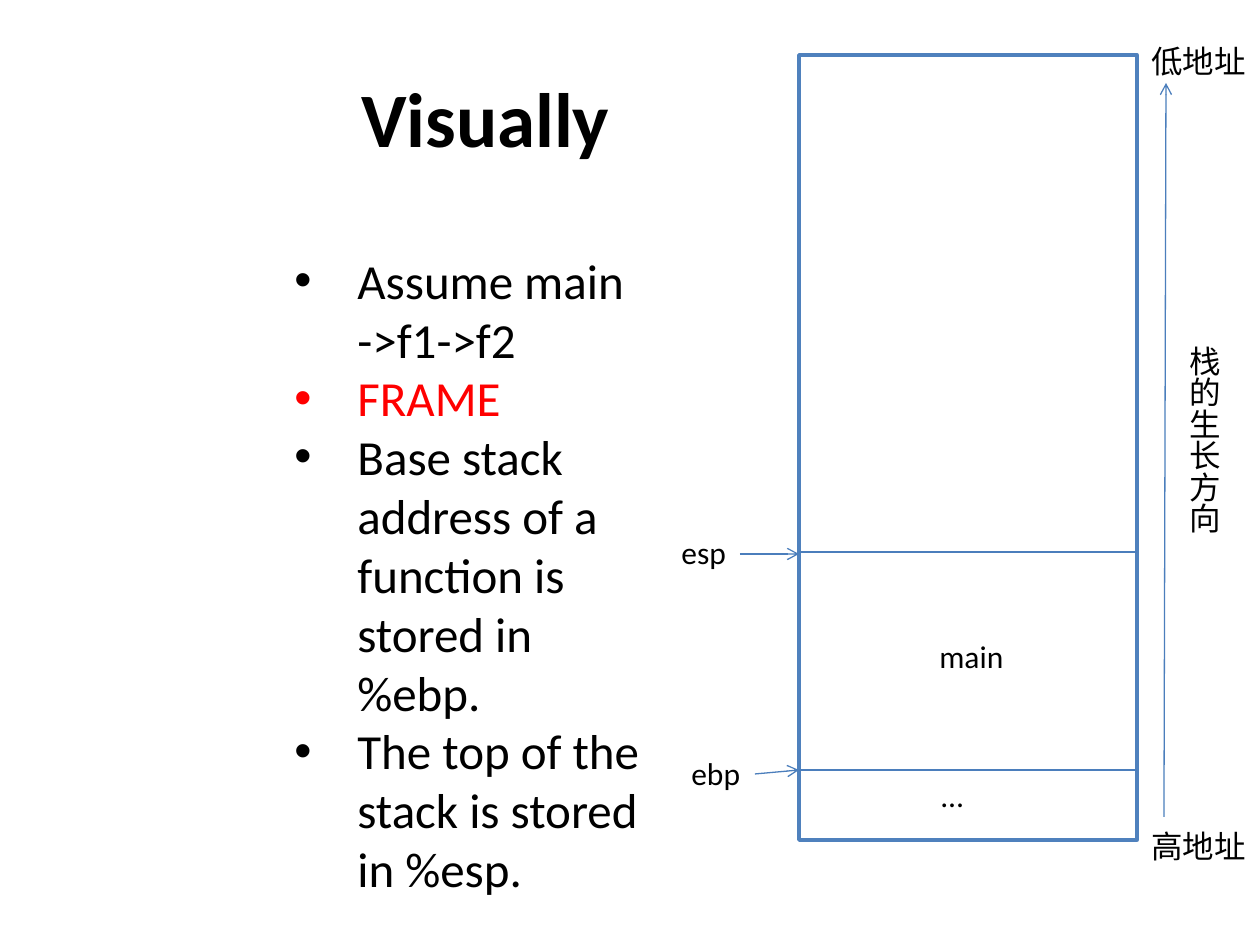
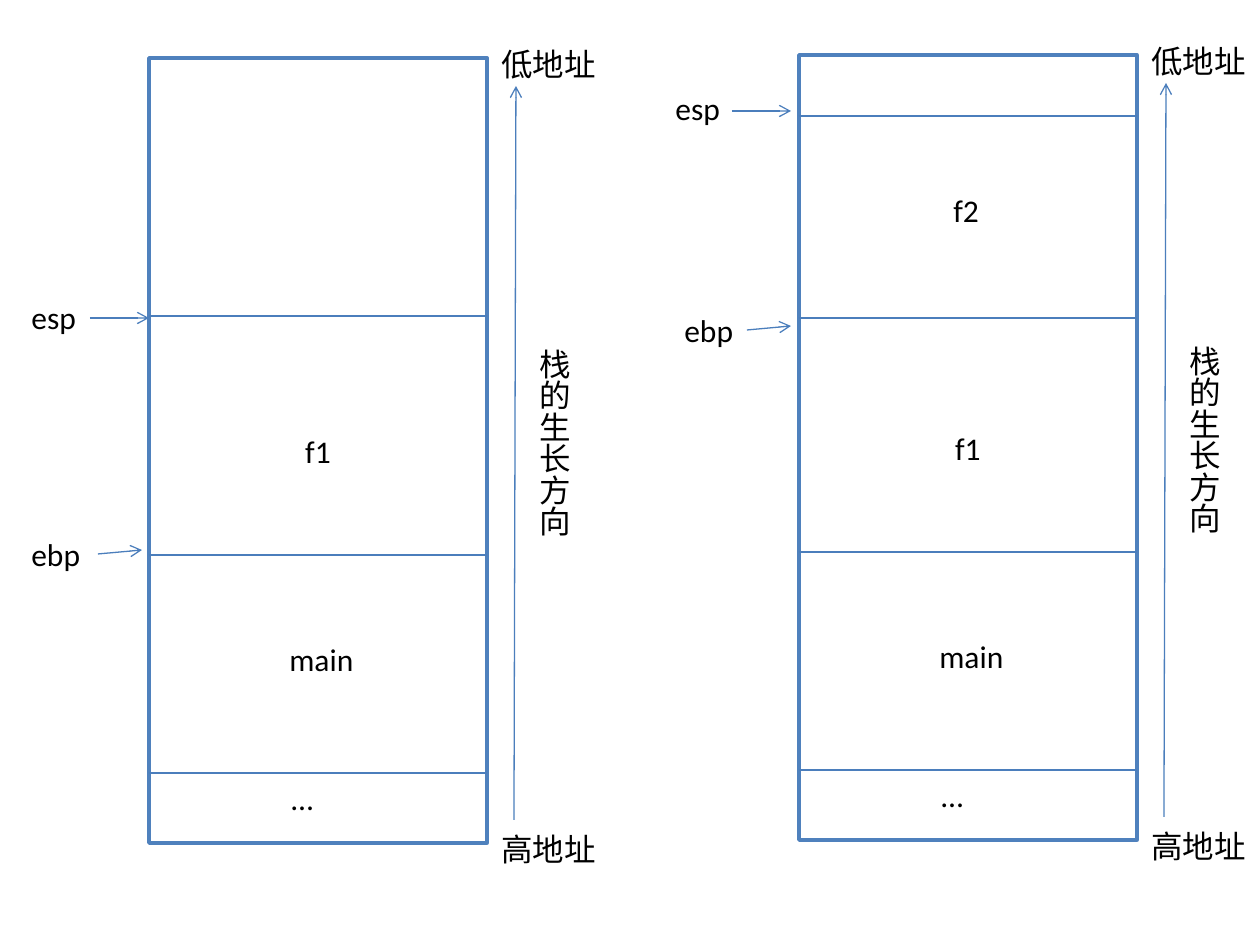
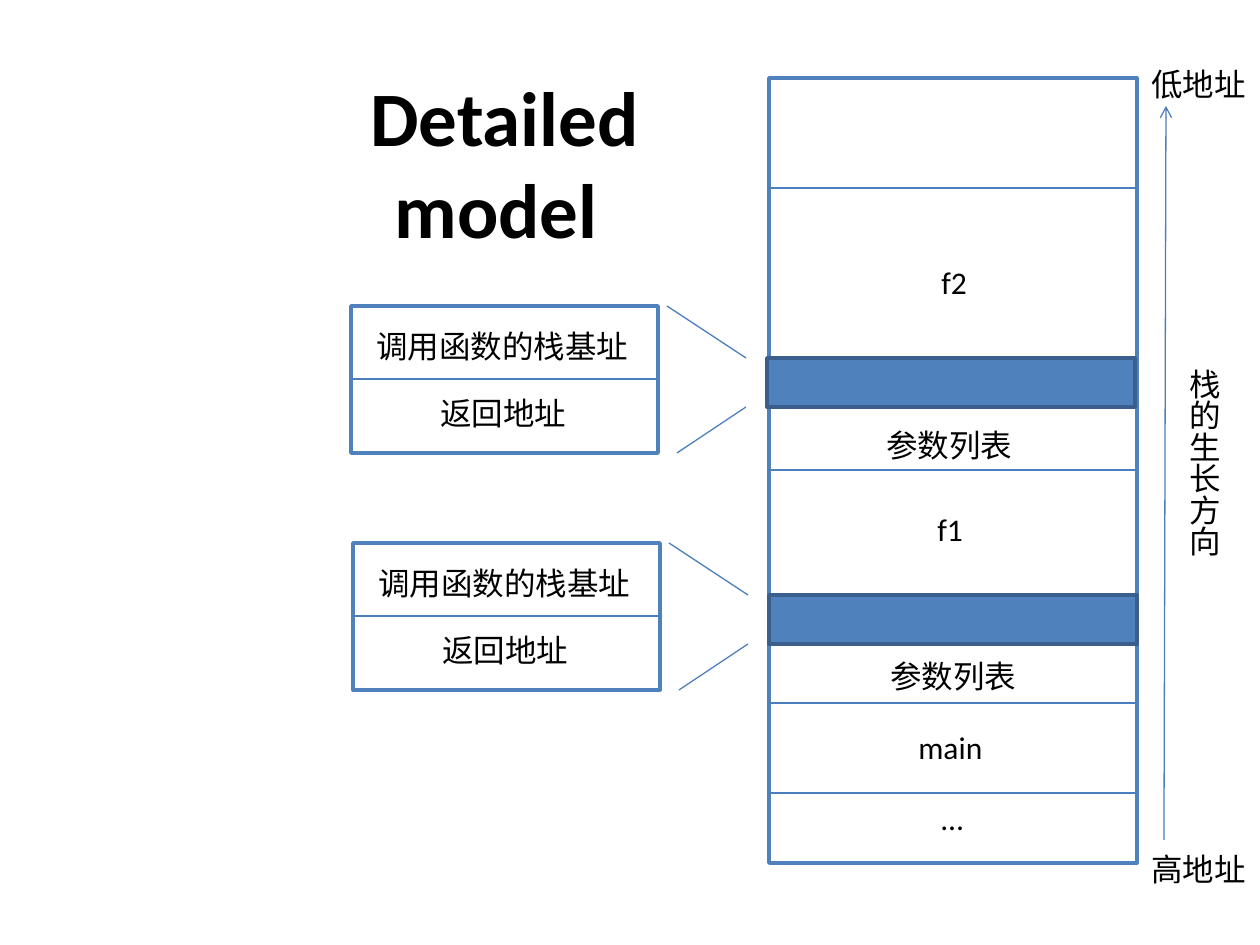
"""Build three slides that explain stack frames of nested function calls."""
from dataclasses import dataclass

from lxml import etree
from pptx import Presentation
from pptx.dml.color import RGBColor
from pptx.enum.shapes import MSO_CONNECTOR, MSO_SHAPE
from pptx.enum.text import MSO_ANCHOR, MSO_AUTO_SIZE, PP_ALIGN
from pptx.oxml.ns import qn
from pptx.shapes.autoshape import Shape
from pptx.slide import Slide
from pptx.util import Emu, Pt

RECTANGLE = MSO_SHAPE.RECTANGLE
STRAIGHT = MSO_CONNECTOR.STRAIGHT
CENTER = PP_ALIGN.CENTER
LEFT = PP_ALIGN.LEFT
MIDDLE = MSO_ANCHOR.MIDDLE
TOP = MSO_ANCHOR.TOP
GROW = MSO_AUTO_SIZE.SHAPE_TO_FIT_TEXT

EMU_PER_PIXEL = 914400 / 126
SLIDE_WIDTH, SLIDE_HEIGHT = 1260, 945
FONT = "Calibri"
BLACK, WHITE, RED = "000000", "FFFFFF", "FF0000"
BLUE, DARK_BLUE, LINE_BLUE = "4F81BD", "3A5F8C", "4B7EBC"
TITLE_SIZE, BODY_SIZE, LABEL_SIZE = 44, 28, 18
LABEL_HEIGHT = 51
BULLET_INDENT = 63
STACK_HEIGHT = 785


@dataclass(frozen=True)
class Label:
    """A one-line text placed relative to the corner of its stack."""
    text: str
    left: int
    top: int
    width: int


@dataclass(frozen=True)
class Stack:
    """A stack outline with its dividers, measured from its top, and labels."""
    left: int
    top: int
    width: int
    dividers: tuple[int, ...]
    labels: tuple[Label, ...]
    middle_text: str = ""


@dataclass(frozen=True)
class Register:
    """A register name and the arrow that belongs to it."""
    name: str
    width: int
    arrow_length: int
    arrow_rise: int


@dataclass(frozen=True)
class Pointer:
    """A register label and the tip of its arrow."""
    register: Register
    left: int
    top: int
    tip_x: int
    tip_y: int


@dataclass(frozen=True)
class LinkRecord:
    """The corner of an enlarged view of a stored link between frames."""
    left: int
    top: int


ESP = Register("esp", 71, 59, 0)
EBP = Register("ebp", 74, 44, 4)

BOTTOM_LABEL = Label("…", 130, 715, 48)
MAIN_LABEL = Label("main", 128, 576, 91)
MAIN_DIVIDERS = (715, 497)

MAIN_STACK = Stack(799, 55, 338, MAIN_DIVIDERS, (BOTTOM_LABEL, MAIN_LABEL))
F1_STACK = Stack(149, 58, 338, (*MAIN_DIVIDERS, 258),
                 (BOTTOM_LABEL, MAIN_LABEL), "f1")
F2_STACK = Stack(799, 55, 338, (*MAIN_DIVIDERS, 263, 61),
                 (BOTTOM_LABEL, MAIN_LABEL, Label("f2", 142, 130, 52)), "f1")
DETAILED_STACK = Stack(769, 78, 368, (715, 625, 392, 110), (
    Label("…", 160, 715, 48),
    Label("main", 137, 644, 91),
    Label("参数列表", 109, 573, 152),
    Label("f1", 156, 426, 52),
    Label("参数列表", 105, 342, 152),
    Label("f2", 160, 179, 52),
))

MAIN_POINTERS = (Pointer(EBP, 679, 748, 799, 770),
                 Pointer(ESP, 669, 527, 799, 554))
CALL_POINTERS = (Pointer(ESP, 19, 292, 149, 318),
                 Pointer(EBP, 19, 529, 142, 550),
                 Pointer(ESP, 663, 83, 791, 111),
                 Pointer(EBP, 672, 305, 791, 326))
LINK_RECORDS = (LinkRecord(353, 543), LinkRecord(351, 306))

BULLETS = (
    ("Assume main ->f1->f2", BLACK),
    ("FRAME", RED),
    ("Base stack address of a function is stored in %ebp.", BLACK),
    ("The top of the stack is stored in %esp.", BLACK),
)


def px(pixels: float) -> Emu:
    """Turn pixels into EMU."""
    return Emu(round(pixels * EMU_PER_PIXEL))


def color(value: str) -> RGBColor:
    """Turn a hex string into a colour."""
    return RGBColor.from_string(value)


def add_run(paragraph, text: str, size: int, hex_color: str = BLACK,
            bold: bool = False) -> None:
    """Append a formatted run to a paragraph."""
    run = paragraph.add_run()
    run.text = text
    run.font.name = FONT
    run.font.size = Pt(size)
    run.font.bold = bold
    run.font.color.rgb = color(hex_color)


def add_text_box(slide: Slide, left: int, top: int, width: int, height: int,
                 wrap: bool) -> Shape:
    """Add an empty text box."""
    box = slide.shapes.add_textbox(px(left), px(top), px(width), px(height))
    box.text_frame.word_wrap = wrap
    box.text_frame.vertical_anchor = TOP
    return box


def add_label(slide: Slide, text: str, left: int, top: int, width: int,
              height: int = LABEL_HEIGHT) -> Shape:
    """Add a text that does not wrap."""
    box = add_text_box(slide, left, top, width, height, wrap=False)
    box.text_frame.auto_size = GROW
    add_run(box.text_frame.paragraphs[0], text, LABEL_SIZE)
    return box


def add_title(slide: Slide, text: str, left: int, top: int, width: int,
              height: int) -> None:
    """Add a bold centred slide title."""
    box = add_text_box(slide, left, top, width, height, wrap=True)
    box.text_frame.vertical_anchor = MIDDLE
    paragraph = box.text_frame.paragraphs[0]
    paragraph.alignment = CENTER
    add_run(paragraph, text, TITLE_SIZE, bold=True)


def add_bullets(slide: Slide, left: int, top: int, width: int,
                height: int) -> None:
    """Add the bulleted list, one paragraph for each entry."""
    frame = add_text_box(slide, left, top, width, height, wrap=True).text_frame
    frame.auto_size = GROW
    for index, (text, hex_color) in enumerate(BULLETS):
        paragraph = frame.add_paragraph() if index else frame.paragraphs[0]
        paragraph.alignment = LEFT
        add_run(paragraph, text, BODY_SIZE, hex_color)
        properties = paragraph._p.get_or_add_pPr()
        properties.set("marL", str(px(BULLET_INDENT)))
        properties.set("indent", str(-px(BULLET_INDENT)))
        etree.SubElement(properties, qn("a:buFont"), typeface="Arial")
        etree.SubElement(properties, qn("a:buChar"), char="•")


def add_box(slide: Slide, left: int, top: int, width: int, height: int,
            fill: str = WHITE, outline: str = BLUE, text: str = "") -> None:
    """Add an outlined rectangle, with centred text if there is any."""
    box = slide.shapes.add_shape(RECTANGLE, px(left), px(top), px(width),
                                 px(height))
    box.shadow.inherit = False
    box.fill.solid()
    box.fill.fore_color.rgb = color(fill)
    box.line.color.rgb = color(outline)
    box.line.width = Pt(2)
    if text:
        box.text_frame.vertical_anchor = MIDDLE
        paragraph = box.text_frame.paragraphs[0]
        paragraph.alignment = CENTER
        add_run(paragraph, text, LABEL_SIZE)


def add_line(slide: Slide, start: tuple[int, int], end: tuple[int, int],
             arrow: bool = False) -> None:
    """Add a thin line, with an open arrowhead at its end if asked."""
    line = slide.shapes.add_connector(STRAIGHT, px(start[0]), px(start[1]),
                                      px(end[0]), px(end[1]))
    line.line.color.rgb = color(LINE_BLUE)
    line.line.width = Pt(0.75)
    properties = line.element.spPr
    if arrow:
        etree.SubElement(properties.find(qn("a:ln")), qn("a:tailEnd"),
                         type="arrow")
    etree.SubElement(properties, qn("a:effectLst"))


def draw_growth_direction(slide: Slide, right: int, top: int) -> None:
    """Draw the address labels and the growth arrow beside a stack."""
    add_line(slide, (right + 27, top + 762), (right + 29, top + 28), arrow=True)
    caption = add_label(slide, "栈的生长方向", right + 29, top + 278, 63, 204)
    caption.text_frame._txBody.bodyPr.set("vert", "eaVert")
    add_label(slide, "低地址", right + 2, top - 19, 121)
    add_label(slide, "高地址", right + 2, top + 766, 121)


def draw_stack(slide: Slide, stack: Stack) -> None:
    """Draw a stack with its dividers, labels and growth direction."""
    right = stack.left + stack.width
    add_box(slide, stack.left, stack.top, stack.width, STACK_HEIGHT,
            text=stack.middle_text)
    for offset in stack.dividers:
        y = stack.top + offset
        add_line(slide, (stack.left, y), (right, y))
    for label in stack.labels:
        add_label(slide, label.text, stack.left + label.left,
                  stack.top + label.top, label.width)
    draw_growth_direction(slide, right, stack.top)


def draw_pointer(slide: Slide, pointer: Pointer) -> None:
    """Draw a register label and its arrow."""
    register = pointer.register
    add_label(slide, register.name, pointer.left, pointer.top, register.width)
    start = (pointer.tip_x - register.arrow_length,
             pointer.tip_y + register.arrow_rise)
    add_line(slide, start, (pointer.tip_x, pointer.tip_y), arrow=True)


def draw_link_record(slide: Slide, record: LinkRecord) -> None:
    """Draw a solid band in the stack and its enlarged two-part view."""
    left, top = record.left, record.top
    width, height, half = 307, 147, 73
    band_top, band_height, wedge_end = top + 52, 49, left + 395
    add_box(slide, left + 416, band_top, 368, band_height, BLUE, DARK_BLUE)
    add_box(slide, left, top, width, height)
    add_line(slide, (left, top + half), (left + width, top + half))
    add_label(slide, "调用函数的栈基址", left + 13, top + 15, 280)
    add_label(slide, "返回地址", left + 77, top + 82, 152)
    add_line(slide, (left + 316, top), (wedge_end, band_top))
    add_line(slide, (wedge_end, band_top + band_height),
             (left + 326, top + height))


def build_main_slide(slide: Slide) -> None:
    """Show the stack while main runs."""
    add_title(slide, "Visually", 282, 38, 407, 158)
    draw_stack(slide, MAIN_STACK)
    add_bullets(slide, 282, 244, 387, 665)
    for pointer in MAIN_POINTERS:
        draw_pointer(slide, pointer)


def build_calls_slide(slide: Slide) -> None:
    """Show the stack after the call of f1 and after the call of f2."""
    for stack in (F1_STACK, F2_STACK):
        draw_stack(slide, stack)
    for pointer in CALL_POINTERS:
        draw_pointer(slide, pointer)


def build_detail_slide(slide: Slide) -> None:
    """Show what is stored between two frames."""
    add_title(slide, " Detailed model", 273, 38, 446, 247)
    draw_stack(slide, DETAILED_STACK)
    for record in LINK_RECORDS:
        draw_link_record(slide, record)


def main() -> None:
    """Build and save the presentation."""
    presentation = Presentation()
    presentation.slide_width = px(SLIDE_WIDTH)
    presentation.slide_height = px(SLIDE_HEIGHT)
    blank = presentation.slide_layouts[6]
    for build in (build_main_slide, build_calls_slide, build_detail_slide):
        build(presentation.slides.add_slide(blank))
    presentation.save("out.pptx")


main()
